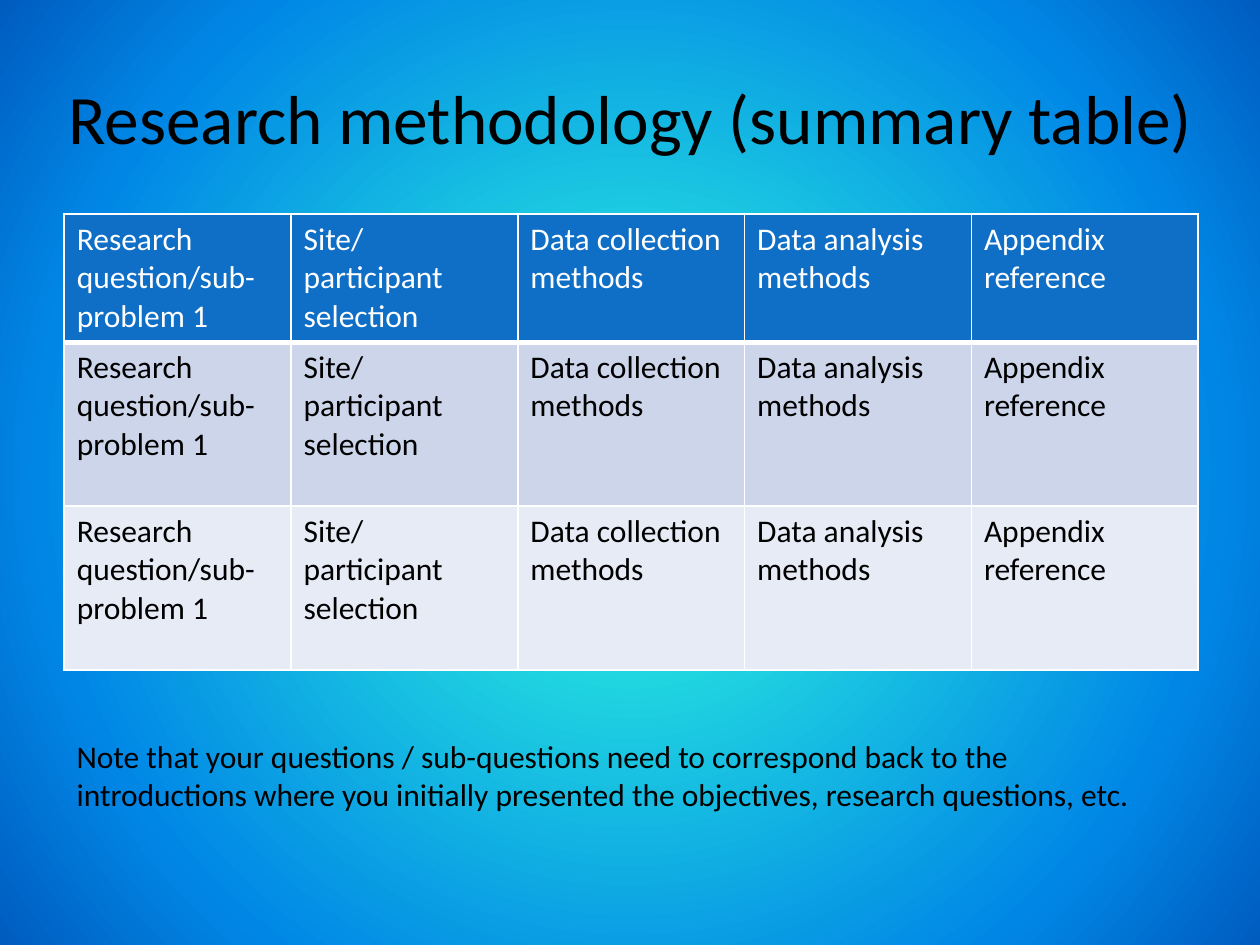
from lxml.etree import SubElement
from pptx import Presentation
from pptx.dml.color import RGBColor
from pptx.enum.text import MSO_ANCHOR, MSO_AUTO_SIZE, PP_ALIGN
from pptx.oxml.ns import qn
from pptx.util import Inches, Pt

COLORS = {"text": "000000", "header_text": "FFFFFF", "border": "FFFFFF",
          "header": "0F6FC6", "band_dark": "CCD5EA", "band_light": "E7EBF5"}
GRADIENT = {0: "03D4A8", 25: "21D6E0", 75: "0087E6", 100: "005CBF"}
COLUMNS = ["Research question/sub-problem 1", "Site/\nparticipant selection",
           "Data collection methods", "Data analysis methods",
           "Appendix reference"]
# Row height, fill, text colour, bottom border width
ROWS = [(1, "header", "header_text", 3),
        (1.3, "band_dark", "text", 1),
        (1.3, "band_light", "text", 1)]
NOTE = ("Note that your questions / sub-questions need to correspond back to "
        "the introductions where you initially presented the objectives, "
        "research questions, etc.")


def format_text(frame, size, color, **paragraph_format):
    for paragraph in frame.paragraphs:
        for key, value in paragraph_format.items():
            setattr(paragraph, key, value)
        for run in paragraph.runs:
            font_format = {"name": "Calibri", "size": Pt(size), "bold": False}
            for key, value in font_format.items():
                setattr(run.font, key, value)
            run.font.color.rgb = RGBColor.from_string(COLORS[color])


def paint_background(slide):
    slide.background.fill.gradient()
    gradient = slide.element.find(".//" + qn("a:gradFill"))
    for child in list(gradient):
        gradient.remove(child)
    stops = SubElement(gradient, qn("a:gsLst"))
    for position, color in GRADIENT.items():
        stop = SubElement(stops, qn("a:gs"), pos=str(position * 1000))
        SubElement(stop, qn("a:srgbClr"), val=color)
    circle = SubElement(gradient, qn("a:path"), path="circle")
    center = {side: "50000" for side in "ltrb"}
    SubElement(circle, qn("a:fillToRect"), center)


def add_title(slide, text):
    title = slide.shapes.title
    place = {"left": 0.2, "top": 0.3, "width": 9.61, "height": 1.25}
    for key, value in place.items():
        setattr(title, key, Inches(value))
    frame = title.text_frame
    frame.text = text
    frame.auto_size = MSO_AUTO_SIZE.NONE
    frame.vertical_anchor = MSO_ANCHOR.MIDDLE
    format_text(frame, 39.6, "text", alignment=PP_ALIGN.CENTER)


def add_borders(cell, bottom_width):
    properties = cell._tc.get_or_add_tcPr()
    widths = {"a:lnL": 1, "a:lnR": 1, "a:lnT": 1, "a:lnB": bottom_width}
    for tag, width in widths.items():
        line = SubElement(properties, qn(tag), w=str(Pt(width)))
        fill = SubElement(line, qn("a:solidFill"))
        SubElement(fill, qn("a:srgbClr"), val=COLORS["border"])


def add_summary_table(slide):
    table = slide.shapes.add_table(
        len(ROWS), len(COLUMNS), Inches(0.51), Inches(1.7),
        Inches(9), Inches(sum(row[0] for row in ROWS))).table
    for row, (height, fill, color, bottom_width) in zip(table.rows, ROWS):
        row.height = Inches(height)
        for cell, text in zip(row.cells, COLUMNS):
            cell.text = text
            format_text(cell.text_frame, 18, color)
            # Borders come before the fill in the cell properties
            add_borders(cell, bottom_width)
            cell.fill.solid()
            cell.fill.fore_color.rgb = RGBColor.from_string(COLORS[fill])


def add_note(slide, text):
    note = slide.shapes.add_textbox(Inches(0.51), Inches(5.8),
                                    Inches(8.74), Inches(0.71))
    frame = note.text_frame
    frame.word_wrap = True
    frame.auto_size = MSO_AUTO_SIZE.SHAPE_TO_FIT_TEXT
    frame.text = text
    format_text(frame, 18, "text")


def main():
    presentation = Presentation()
    presentation.slide_width = Inches(10)
    presentation.slide_height = Inches(7.5)
    slide = presentation.slides.add_slide(presentation.slide_layouts[5])
    paint_background(slide)
    add_title(slide, "Research methodology (summary table)")
    add_summary_table(slide)
    add_note(slide, NOTE)
    presentation.save("out.pptx")


if __name__ == "__main__":
    main()
